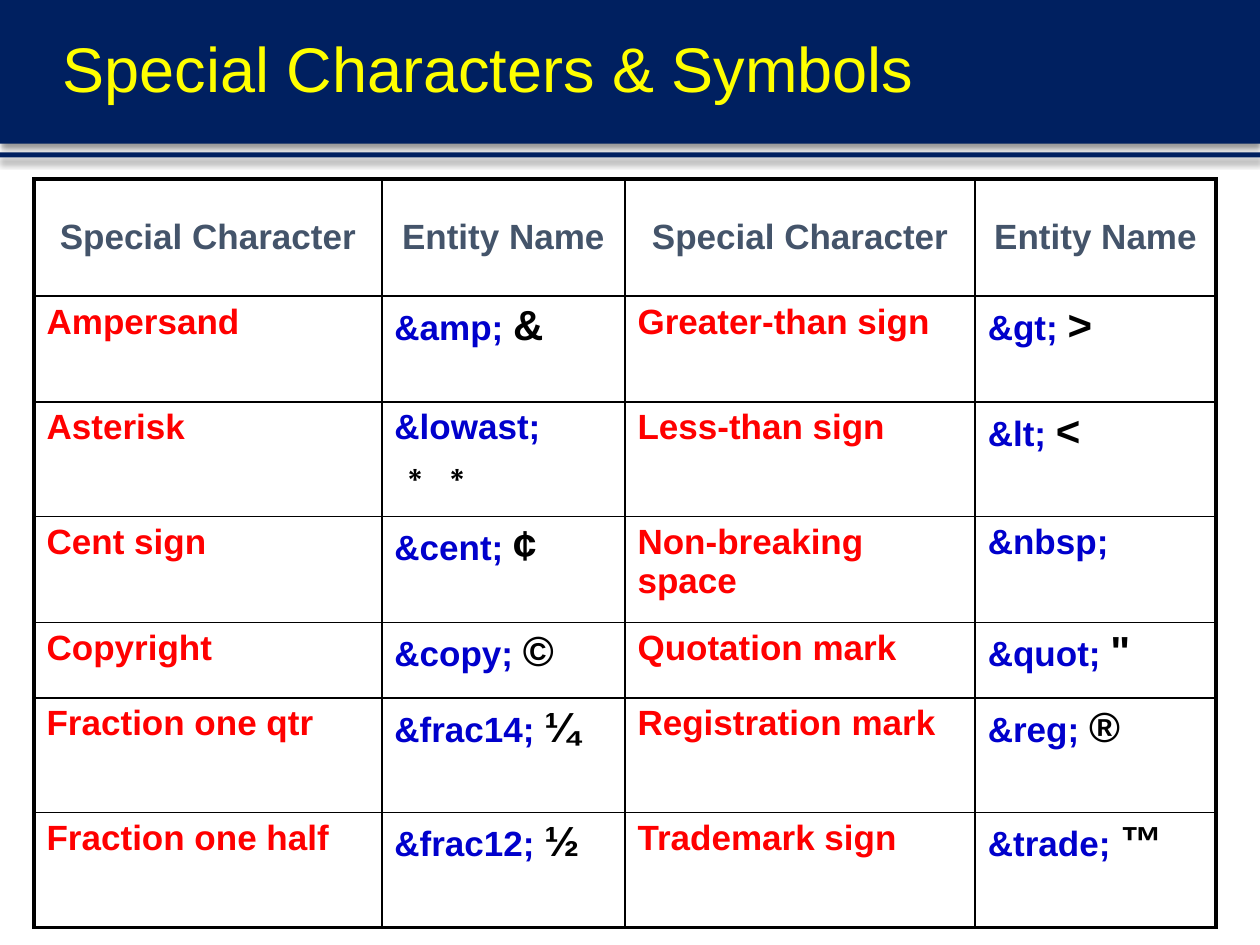
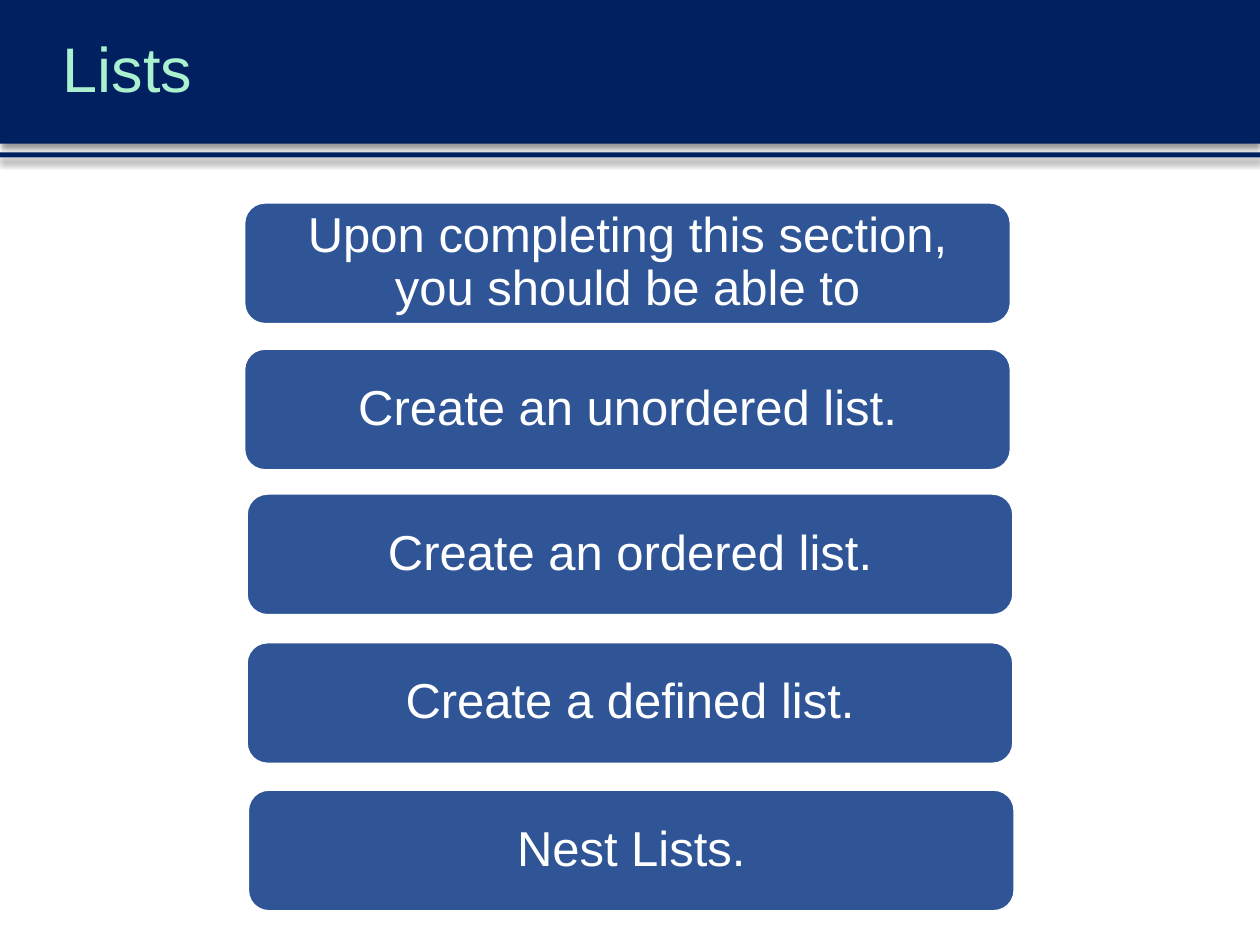
import pptx
import pptx.util
import pptx.dml.color
import pptx.enum.shapes
import pptx.enum.text
import pptx.oxml
import pptx.oxml.ns
from lxml import etree

Inches = pptx.util.Inches
Pt = pptx.util.Pt
SHAPE = pptx.enum.shapes.MSO_SHAPE
ALIGN = pptx.enum.text.PP_ALIGN
MIDDLE = pptx.enum.text.MSO_ANCHOR.MIDDLE
qn = pptx.oxml.ns.qn

NAVY, STEEL, WHITE, BLACK = "002060", "2F5597", "FFFFFF", "000000"
YELLOW, MINT, SLATE, RED, BLUE = "FFFF00", "ABF1CF", "44546A", "FF0000", "0000CC"
SHADOW = (
    f'<a:outerShdw {pptx.oxml.ns.nsdecls("a")} blurRad="{Pt(4)}" dist="{Pt(3)}" '
    'dir="5400000" rotWithShape="0"><a:srgbClr val="000000">'
    '<a:alpha val="40000"/></a:srgbClr></a:outerShdw>'
)


def color(code):
    return pptx.dml.color.RGBColor.from_string(code)


def write(para, text, size=20, ink=BLACK, bold=False, align=ALIGN.LEFT, spacing=None, after=0):
    para.alignment = align
    para.line_spacing = spacing
    para.space_after = Pt(after)
    span = para.add_run()
    span.text = text
    span.font.name = "Arial"
    span.font.size = Pt(size)
    span.font.bold = bold
    span.font.color.rgb = color(ink)


deck = pptx.Presentation()
deck.slide_width, deck.slide_height = Inches(10), Inches(7.5)

pages = []
for title, title_ink in [("Special Characters & Symbols", YELLOW), ("Lists", MINT)]:
    page = deck.slides.add_slide(deck.slide_layouts[6])
    pages.append(page)
    for top, height in [(0, 1.14), (1.21, 0.04)]:
        band = page.shapes.add_shape(SHAPE.RECTANGLE, 0, Inches(top), Inches(10), Inches(height))
        band.fill.solid()
        band.fill.fore_color.rgb = color(NAVY)
        band.line.fill.background()
        band.shadow.inherit = False
        effects = band.element.spPr.find(qn("a:effectLst"))
        effects.append(pptx.oxml.parse_xml(SHADOW))
    box = page.shapes.add_textbox(Inches(0.4), 0, Inches(9.6), Inches(1.14))
    box.text_frame.word_wrap = True
    box.text_frame.vertical_anchor = MIDDLE
    write(box.text_frame.paragraphs[0], title, size=36, ink=title_ink, spacing=0.9, after=6)

symbols_page, lists_page = pages

headings = ["Special Character", "Entity Name"] * 2
entities = [
    [("Ampersand", "&amp; ", "&"), ("Greater-than sign", "&gt; ", ">")],
    [("Asterisk", "&lowast; ", "∗∗"), ("Less-than sign", "&lt; ", "<")],
    [("Cent sign", "&cent; ", "¢"), ("Non-breaking space", "&nbsp;", "")],
    [("Copyright", "&copy; ", "©"), ("Quotation mark", "&quot; ", '"')],
    [("Fraction one qtr", "&frac14; ", "¼"), ("Registration mark", "&reg; ", "®")],
    [("Fraction one half", "&frac12; ", "½"), ("Trademark sign", "&trade; ", "™")],
]
column_widths = [2.76, 1.93, 2.78, 1.91]
row_heights = [0.93, 0.84, 0.91, 0.84, 0.6, 0.91, 0.91]
last_row, last_column = len(row_heights) - 1, len(column_widths) - 1

table = symbols_page.shapes.add_table(
    len(row_heights), len(column_widths), Inches(0.27), Inches(1.42),
    Inches(sum(column_widths)), Inches(sum(row_heights)),
).table
table.first_row = False
table.horz_banding = False
for column, width in zip(table.columns, column_widths):
    column.width = Inches(width)
for row, height in zip(table.rows, row_heights):
    row.height = Inches(height)

for column, heading in enumerate(headings):
    cell = table.cell(0, column)
    cell.vertical_anchor = MIDDLE
    write(cell.text_frame.paragraphs[0], heading, ink=SLATE, bold=True, align=ALIGN.CENTER)

for row, pair in enumerate(entities, start=1):
    for side, (name, entity, symbol) in enumerate(pair):
        write(table.cell(row, 2 * side).text_frame.paragraphs[0], name, ink=RED, bold=True)
        para = table.cell(row, 2 * side + 1).text_frame.paragraphs[0]
        write(para, entity, ink=BLUE, bold=True)
        if symbol:
            write(para, symbol, size=24, bold=True)

for row in range(last_row + 1):
    for column in range(last_column + 1):
        cell = table.cell(row, column)
        properties = cell._tc.get_or_add_tcPr()
        outer_edges = {
            "L": column == 0,
            "R": column == last_column,
            "T": row == 0,
            "B": row == last_row,
        }
        for edge, is_outer in outer_edges.items():
            border = etree.SubElement(properties, qn(f"a:ln{edge}"), w=str(Pt(2.25 if is_outer else 1)))
            fill = etree.SubElement(border, qn("a:solidFill"))
            etree.SubElement(fill, qn("a:srgbClr"), val=BLACK)
        cell.fill.background()

goals = [
    (1.94, 1.61, "Upon completing this section, you should be able to"),
    (1.94, 2.77, "Create an unordered list."),
    (1.96, 3.92, "Create an ordered list."),
    (1.96, 5.1, "Create a defined list."),
    (1.97, 6.27, "Nest Lists."),
]
for left, top, goal in goals:
    card = lists_page.shapes.add_shape(
        SHAPE.ROUNDED_RECTANGLE, Inches(left), Inches(top), Inches(6.08), Inches(0.96)
    )
    card.adjustments[0] = 0.17
    card.shadow.inherit = False
    card.fill.solid()
    card.fill.fore_color.rgb = color(STEEL)
    card.line.color.rgb = color(WHITE)
    card.line.width = Pt(1)
    frame = card.text_frame
    frame.word_wrap = True
    frame.vertical_anchor = MIDDLE
    frame.margin_left = frame.margin_right = Inches(0.16)
    frame.margin_top = frame.margin_bottom = Inches(0.16)
    write(frame.paragraphs[0], goal, size=28, ink=WHITE, align=ALIGN.CENTER, spacing=0.9)

deck.save("out.pptx")
